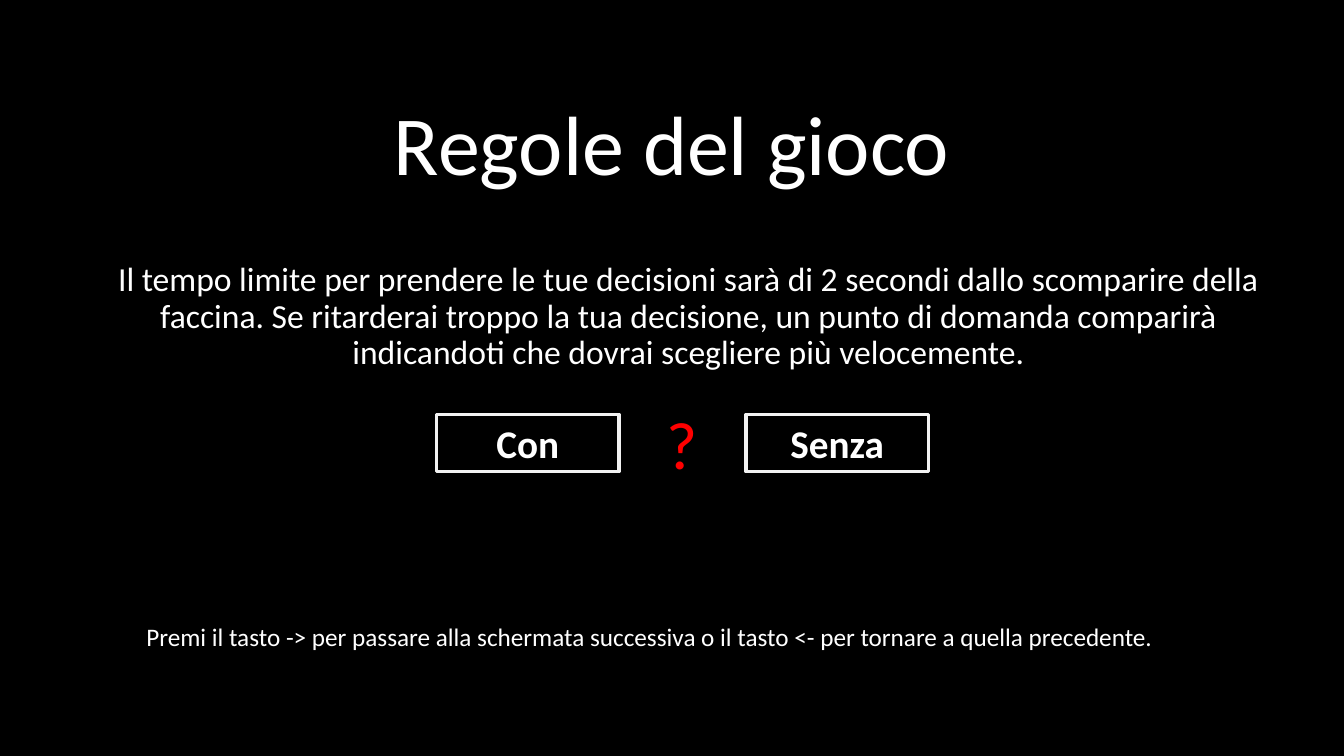
from pptx import Presentation
from pptx.dml.color import RGBColor
from pptx.enum.shapes import MSO_SHAPE as Shape
from pptx.enum.text import MSO_ANCHOR as Anchor, PP_ALIGN as Align
from pptx.util import Cm, Pt

COLORS = {"background": "000000", "text": "FFFFFF", "border": "F2F2F2", "alert": "FF0000"}
FONT = "Calibri"


def color(name):
    return RGBColor.from_string(COLORS[name])


def write(frame, text, size, ink="text", bold=False, align=Align.CENTER,
          anchor=Anchor.TOP, spacing=0.9, wrap=True):
    """Fill a text frame with one formatted paragraph."""
    frame.word_wrap = wrap
    frame.vertical_anchor = anchor
    paragraph = frame.paragraphs[0]
    paragraph.alignment = align
    paragraph.line_spacing = spacing
    run = paragraph.add_run()
    run.text = text
    run.font.name = FONT
    run.font.size = Pt(size)
    run.font.bold = bold
    run.font.color.rgb = color(ink)


def add_text(slide, box, text, size, **style):
    label = slide.shapes.add_textbox(*map(Cm, box))
    write(label.text_frame, text, size, **style)


def add_choice(slide, left, text):
    """Draw an outlined answer box."""
    choice = slide.shapes.add_shape(Shape.RECTANGLE, Cm(left), Cm(10.44), Cm(4.6), Cm(1.45))
    choice.shadow.inherit = False
    choice.fill.background()
    choice.line.color.rgb = color("border")
    choice.line.width = Pt(2.25)
    write(choice.text_frame, text, 28, bold=True, anchor=Anchor.MIDDLE, spacing=1.0)


def main():
    deck = Presentation()
    deck.slide_width, deck.slide_height = Cm(33.87), Cm(19.05)
    slide = deck.slides.add_slide(deck.slide_layouts[6])
    slide.background.fill.solid()
    slide.background.fill.fore_color.rgb = color("background")

    # Title and rule
    add_text(slide, (4.23, 0.81, 25.4, 4.19), "Regole del gioco", 60, anchor=Anchor.BOTTOM)
    add_text(slide, (2.49, 6.5, 29.72, 3.3),
             "Il tempo limite per prendere le tue decisioni sarà di 2 secondi dallo "
             "scomparire della faccina. Se ritarderai troppo la tua decisione, un punto "
             "di domanda comparirà indicandoti che dovrai scegliere più velocemente.", 24)

    # Choices with the late-answer mark between them
    add_text(slide, (16.54, 10.01, 1.3, 2.31), "?", 48, ink="alert",
             align=Align.LEFT, spacing=1.0, wrap=False)
    for left, text in ((11, "Con"), (18.8, "Senza")):
        add_choice(slide, left, text)

    # Navigation hint
    add_text(slide, (0.64, 15.63, 31.46, 1.2),
             "Premi il tasto -> per passare alla schermata successiva o il tasto <- "
             "per tornare a quella precedente.", 18)

    deck.save("out.pptx")


main()
